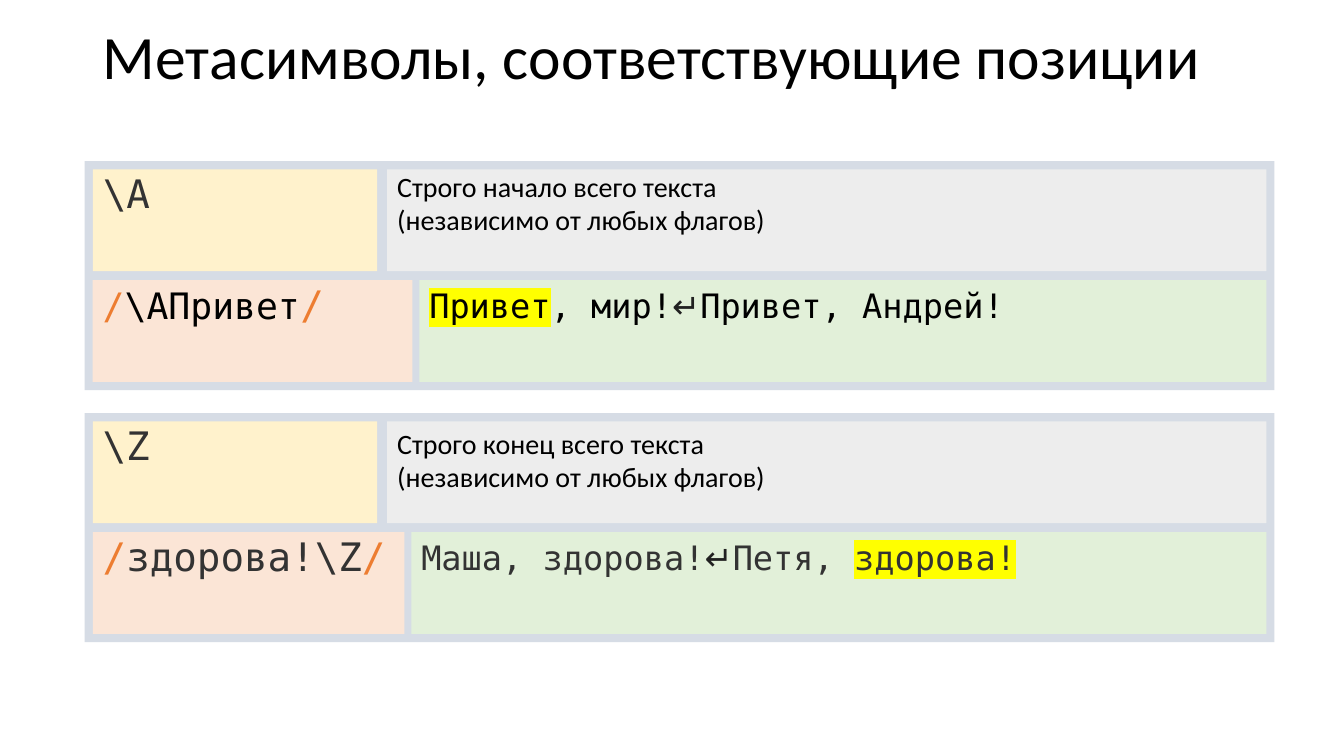
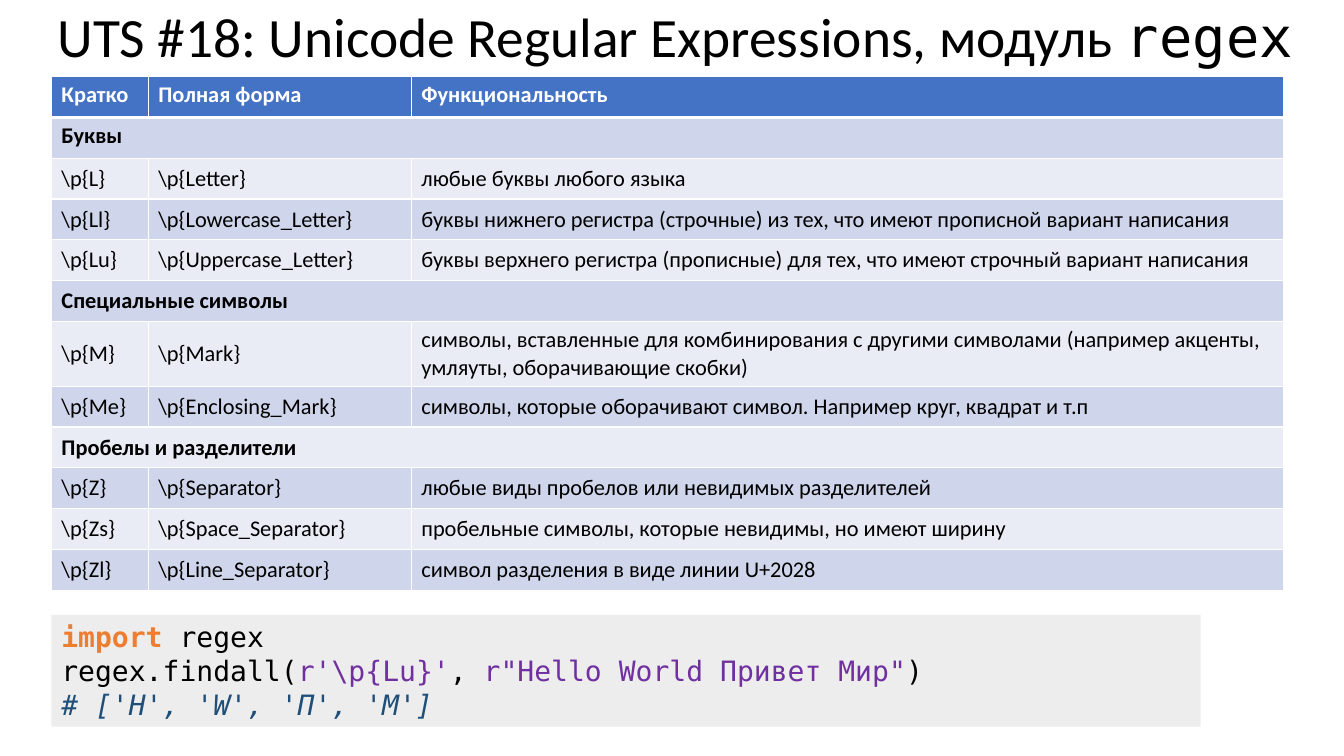
"""Two slides on regular expressions: position metacharacters and Unicode classes."""
from dataclasses import dataclass

from lxml import etree
from pptx import Presentation
from pptx.dml.color import RGBColor
from pptx.enum.shapes import MSO_SHAPE
from pptx.enum.text import MSO_ANCHOR, MSO_AUTO_SIZE, PP_ALIGN
from pptx.oxml import parse_xml
from pptx.oxml.ns import nsdecls, qn
from pptx.util import Inches, Pt

RECTANGLE = MSO_SHAPE.RECTANGLE
TOP, MIDDLE = MSO_ANCHOR.TOP, MSO_ANCHOR.MIDDLE
LEFT = PP_ALIGN.LEFT
NO_AUTOFIT = MSO_AUTO_SIZE.NONE


@dataclass(frozen=True)
class Theme:
    sans: str = "Calibri"
    mono: str = "DejaVu Sans Mono"
    symbol: str = "Roboto"
    black: str = "000000"
    white: str = "FFFFFF"
    ink: str = "333333"
    soft_ink: str = "212121"
    orange: str = "ED7D31"
    purple: str = "7030A0"
    navy: str = "1F4E79"
    marker: str = "FFFF00"
    card: str = "D6DCE5"
    symbol_fill: str = "FFF2CC"
    grey_fill: str = "EDEDED"
    pattern_fill: str = "FBE5D6"
    sample_fill: str = "E2F0D9"
    header_fill: str = "4472C4"
    odd_row: str = "CFD5EA"
    even_row: str = "E9EBF5"
    title_size: float = 44
    long_title_size: float = 39.6
    symbol_size: float = 28
    pattern_size: float = 26
    sample_size: float = 24
    text_size: float = 20
    table_size: float = 16


THEME = Theme()


def write(frame, lines, size, font, anchor=TOP, spacing=1.0):
    """Fill a text frame; each line lists (text, colour, options) spans."""
    frame.word_wrap = True
    frame.auto_size = NO_AUTOFIT
    frame.vertical_anchor = anchor
    for index, spans in enumerate(lines):
        para = frame.add_paragraph() if index else frame.paragraphs[0]
        properties = para._p.get_or_add_pPr()
        properties.set("marL", "0")
        properties.set("indent", "0")
        etree.SubElement(properties, qn("a:buNone"))
        para.alignment = LEFT
        para.space_before = Pt(0)
        para.line_spacing = spacing
        for text, colour, options in spans:
            span = para.add_run()
            span.text = text
            span.font.size = Pt(options.get("size", size))
            span.font.bold = options.get("bold", False)
            span.font.italic = options.get("italic", False)
            span.font.color.rgb = RGBColor.from_string(colour)
            if "marker" in options:
                highlight = etree.SubElement(span.font._element, qn("a:highlight"))
                etree.SubElement(highlight, qn("a:srgbClr"), val=options["marker"])
            span.font.name = options.get("font", font)


def paint(slide, place, colour, shape=None):
    """Place a flat rectangle, or move and fill the given shape."""
    bounds = [Inches(length) for length in place]
    box = shape or slide.shapes.add_shape(RECTANGLE, *bounds)
    box.left, box.top, box.width, box.height = bounds
    box.fill.solid()
    box.fill.fore_color.rgb = RGBColor.from_string(colour)
    box.line.fill.background()
    if shape is None:
        box.shadow.inherit = False
    return box


deck = Presentation()
deck.slide_width, deck.slide_height = Inches(13.33), Inches(7.5)

TITLES = [
    (1, (0.92, 0.2, 11.5, 0.78), THEME.title_size,
     [("Метасимволы, соответствующие позиции", THEME.black, {})]),
    (5, (0.47, 0.11, 12.56, 0.56), THEME.long_title_size,
     [("UTS #18: Unicode Regular Expressions, модуль ", THEME.black, {}),
      ("regex", THEME.black, {"font": THEME.mono})]),
]
pages = []
for layout, place, size, spans in TITLES:
    page = deck.slides.add_slide(deck.slide_layouts[layout])
    title = page.shapes.title
    title.left, title.top, title.width, title.height = [Inches(length) for length in place]
    write(title.text_frame, [spans], size, THEME.sans, MIDDLE, 0.9)
    pages.append(page)
position_page, unicode_page = pages

RETURN_SIGN = ("↵", THEME.soft_ink, {"font": THEME.symbol})
MARKED = {"marker": THEME.marker}
CARDS = [
    {"top": 1.6, "symbol": "\\A", "inset": 0, "meaning": "Строго начало всего текста",
     "pattern_width": 3.17,
     "pattern": [("/", THEME.orange, {}), ("\\AПривет", THEME.black, {}),
                 ("/", THEME.orange, {"size": THEME.symbol_size})],
     "pattern_size": THEME.pattern_size,
     "sample": [("Привет", THEME.black, MARKED), (", мир!", THEME.black, {}),
                RETURN_SIGN, ("Привет, Андрей!", THEME.black, {})]},
    {"top": 4.1, "symbol": "\\Z", "inset": 0.05, "meaning": "Строго конец всего текста",
     "pattern_width": 3.09,
     "pattern": [("/", THEME.orange, {}), ("здорова!\\Z", THEME.ink, {}),
                 ("/", THEME.orange, {})],
     "pattern_size": THEME.symbol_size,
     "sample": [("Маша, здорова!", THEME.ink, {}), RETURN_SIGN,
                ("Петя, ", THEME.ink, {}), ("здорова!", THEME.ink, MARKED)]},
]
CARD_LEFT, CARD_WIDTH, CARD_HEIGHT, MARGIN = 0.84, 11.8, 2.27, 0.08
INNER_LEFT = CARD_LEFT + MARGIN
INNER_RIGHT = CARD_LEFT + CARD_WIDTH - MARGIN
ROW_HEIGHT, ROW_STEP, SYMBOL_WIDTH = 1.01, 1.1, 2.82
SYMBOL_GAP, PATTERN_GAP = 0.1, 0.07

body = position_page.placeholders[1]
for index, card in enumerate(CARDS):
    panel = paint(position_page, (CARD_LEFT, card["top"], CARD_WIDTH, CARD_HEIGHT), THEME.card)
    body.element.addprevious(panel.element)
    upper = card["top"] + MARGIN
    lower = upper + ROW_STEP

    symbol = paint(position_page, (INNER_LEFT, upper, SYMBOL_WIDTH, ROW_HEIGHT),
                   THEME.symbol_fill, None if index else body)
    write(symbol.text_frame, [[(card["symbol"], THEME.ink, {})]],
          THEME.symbol_size, THEME.mono, spacing=0.9)

    left = INNER_LEFT + SYMBOL_WIDTH + SYMBOL_GAP
    meaning = paint(position_page, (left, upper, INNER_RIGHT - left, ROW_HEIGHT), THEME.grey_fill)
    meaning.text_frame.margin_top = Inches(card["inset"])
    write(meaning.text_frame,
          [[(line, THEME.black, {})] for line in (card["meaning"], "(независимо от любых флагов)")],
          THEME.text_size, THEME.sans)

    pattern = paint(position_page, (INNER_LEFT, lower, card["pattern_width"], ROW_HEIGHT),
                    THEME.pattern_fill)
    write(pattern.text_frame, [card["pattern"]], card["pattern_size"], THEME.mono, spacing=0.9)

    left = INNER_LEFT + card["pattern_width"] + PATTERN_GAP
    sample = paint(position_page, (left, lower, INNER_RIGHT - left, ROW_HEIGHT), THEME.sample_fill)
    write(sample.text_frame, [card["sample"]], THEME.sample_size, THEME.mono)

ROWS = [
    ("Кратко", "Полная форма", "Функциональность"),
    ("Буквы",),
    ("\\p{L}", "\\p{Letter}", "любые буквы любого языка"),
    ("\\p{Ll}", "\\p{Lowercase_Letter}",
     "буквы нижнего регистра (строчные) из тех, что имеют прописной вариант написания"),
    ("\\p{Lu}", "\\p{Uppercase_Letter}",
     "буквы верхнего регистра (прописные) для тех, что имеют строчный вариант написания"),
    ("Специальные символы",),
    ("\\p{M}", "\\p{Mark}",
     "символы, вставленные для комбинирования с другими символами "
     "(например акценты, умляуты, оборачивающие скобки)"),
    ("\\p{Me}", "\\p{Enclosing_Mark}",
     "символы, которые оборачивают символ. Например круг, квадрат и т.п"),
    ("Пробелы и разделители",),
    ("\\p{Z}", "\\p{Separator}", "любые виды пробелов или невидимых разделителей"),
    ("\\p{Zs}", "\\p{Space_Separator}", "пробельные символы, которые невидимы, но имеют ширину"),
    ("\\p{Zl}", "\\p{Line_Separator}", "символ разделения в виде линии U+2028"),
]
COLUMNS = [0.96, 2.61, 8.65]
table = unicode_page.shapes.add_table(
    len(ROWS), len(COLUMNS), Inches(0.51), Inches(0.76), Inches(sum(COLUMNS)), Inches(4.86)).table
for column, width in zip(table.columns, COLUMNS):
    column.width = Inches(width)
for row_index, texts in enumerate(ROWS):
    is_header = row_index == 0
    is_section = len(texts) == 1
    fill = THEME.header_fill if is_header else THEME.odd_row if row_index % 2 else THEME.even_row
    colour = THEME.white if is_header else THEME.black
    widths = {"L": 1, "R": 1, "T": 3 if row_index == 1 else 1, "B": 3 if is_header else 1}
    for column_index in range(len(COLUMNS)):
        cell = table.cell(row_index, column_index)
        properties = cell._tc.get_or_add_tcPr()
        for side, width in widths.items():
            properties.append(parse_xml(
                f'<a:ln{side} {nsdecls("a")} w="{Pt(width)}"><a:solidFill>'
                f'<a:srgbClr val="{THEME.white}"/></a:solidFill></a:ln{side}>'))
        cell.fill.solid()
        cell.fill.fore_color.rgb = RGBColor.from_string(fill)
        cell.vertical_anchor = TOP if row_index < 2 else MIDDLE
        if column_index < len(texts):
            para = cell.text_frame.paragraphs[0]
            para.text = texts[column_index]
            font = para.runs[0].font
            font.name, font.size = THEME.sans, Pt(THEME.table_size)
            font.bold = is_header or is_section
            font.color.rgb = RGBColor.from_string(colour)
    if is_section:
        table.cell(row_index, 0).merge(table.cell(row_index, len(COLUMNS) - 1))

code = paint(unicode_page, (0.51, 6.1, 11.4, 1.11), THEME.grey_fill)
write(code.text_frame, [
    [("import", THEME.orange, {"bold": True}), (" regex", THEME.black, {})],
    [("regex.findall(", THEME.black, {}), ("r'\\p{Lu}'", THEME.purple, {}),
     (", ", THEME.black, {}), ('r"Hello World Привет Мир"', THEME.purple, {}),
     (")", THEME.black, {})],
    [("# ['H', 'W', 'П', 'М']", THEME.navy, {"italic": True})],
], THEME.text_size, THEME.mono)

deck.save("out.pptx")
